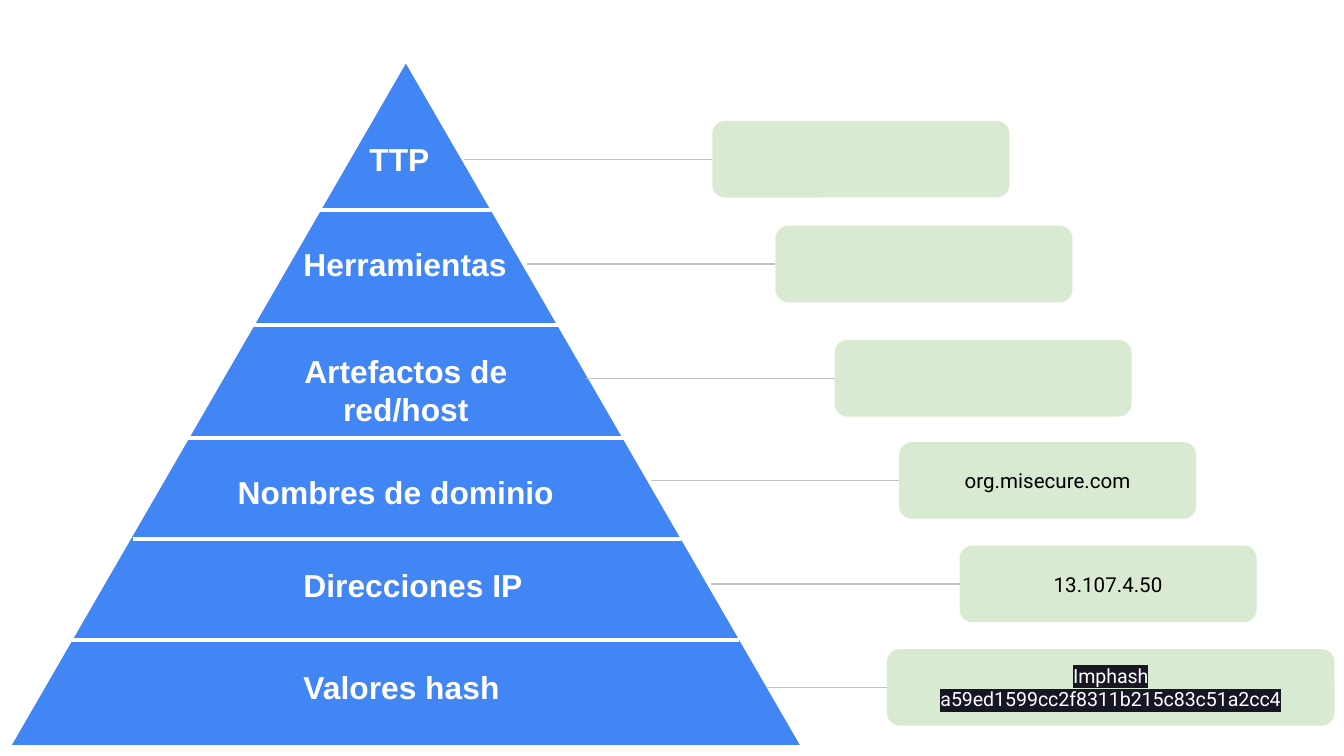
from lxml.etree import SubElement
from pptx import Presentation
from pptx.dml.color import RGBColor
from pptx.enum.shapes import MSO_CONNECTOR, MSO_SHAPE
from pptx.enum.text import MSO_ANCHOR, MSO_AUTO_SIZE, PP_ALIGN
from pptx.oxml.ns import qn
from pptx.util import Inches, Pt

SLIDE_WIDTH = Inches(10)
SLIDE_HEIGHT = Inches(5.625)
GRID_COLUMNS = 100
CELL = SLIDE_WIDTH / GRID_COLUMNS
INSET = 1
BOX_HEIGHT = 5.7
BOX_WIDTH = 22.1
LEADER_LENGTH = 18.5

WHITE = RGBColor(0xFF, 0xFF, 0xFF)
BLACK = RGBColor(0x00, 0x00, 0x00)
BLUE = RGBColor(0x42, 0x85, 0xF4)
GREEN = RGBColor(0xD9, 0xEA, 0xD3)
GRAY = RGBColor(0xC2, 0xC2, 0xC2)
NAVY = RGBColor(0x16, 0x16, 0x25)

DIVIDERS = [
    (23.8, 36.5, 15.6),
    (18.8, 41.7, 24.2),
    (13.9, 46.4, 32.6),
    (9.9, 50.7, 40.1),
    (5.3, 55, 47.6),
]
LABELS = [
    ("TTP", 26.5, 9.4, 8.8, 4.9, PP_ALIGN.LEFT),
    ("Herramientas", 21.6, 17.2, 20, 4.9, PP_ALIGN.LEFT),
    ("Artefactos de red/host", 19.3, 25.2, 21.8, 7.7, PP_ALIGN.CENTER),
    ("Nombres de dominio", 16.7, 34.2, 30.2, 4.9, PP_ALIGN.LEFT),
    ("Direcciones IP", 21.6, 41.1, 22.4, 4.9, PP_ALIGN.LEFT),
    ("Valores hash", 21.6, 48.7, 22.4, 4.9, PP_ALIGN.LEFT),
]
ANSWERS = [
    ([], 53, 9),
    ([], 57.7, 16.8),
    ([], 62.1, 25.3),
    (["org.misecure.com"], 66.9, 32.9),
    (["13.107.4.50"], 71.4, 40.6),
]
HASH_LINES = ["Imphash", "a59ed1599cc2f8311b215c83c51a2cc4"]


def cells(count):
    return round(count * CELL)


def add_filled_shape(shapes, kind, left, top, width, height, color):
    shape = shapes.add_shape(kind, cells(left), cells(top), cells(width), cells(height))
    shape.shadow.inherit = False
    shape.fill.solid()
    shape.fill.fore_color.rgb = color
    shape.line.fill.background()
    return shape


def add_line(shapes, kind, start, end, y, color, weight):
    line = shapes.add_connector(kind, cells(start), cells(y), cells(end), cells(y))
    line.line.color.rgb = color
    line.line.width = Pt(weight)
    SubElement(line._element.spPr, qn("a:effectLst"))
    return line


def add_run(paragraph, text, font, size, color, bold=False, highlight=None):
    run = paragraph.add_run()
    run.text = text
    run.font.name = font
    run.font.size = Pt(size)
    run.font.bold = bold
    run.font.color.rgb = color
    if highlight is not None:
        properties = run._r.get_or_add_rPr()
        mark = SubElement(properties, qn("a:highlight"))
        SubElement(mark, qn("a:srgbClr"), val=str(highlight))
        properties.find(qn("a:solidFill")).addnext(mark)


def set_insets(frame):
    frame.word_wrap = True
    frame.margin_left = frame.margin_right = cells(INSET)
    frame.margin_top = frame.margin_bottom = cells(INSET)


def add_pyramid(slide):
    shapes = slide.shapes.add_group_shape().shapes
    triangle = add_filled_shape(
        shapes, MSO_SHAPE.ISOSCELES_TRIANGLE, 0.6, 4.4, 59.2, 51.2, BLUE
    )
    triangle.line.color.rgb = WHITE
    triangle.line.width = Pt(2.25)
    for start, end, y in DIVIDERS:
        add_line(shapes, MSO_CONNECTOR.STRAIGHT, start, end, y, WHITE, 2.25)


def add_label(slide, text, left, top, width, height, alignment):
    box = slide.shapes.add_textbox(cells(left), cells(top), cells(width), cells(height))
    frame = box.text_frame
    set_insets(frame)
    frame.auto_size = MSO_AUTO_SIZE.SHAPE_TO_FIT_TEXT
    paragraph = frame.paragraphs[0]
    paragraph.alignment = alignment
    add_run(paragraph, text, "Arial", 17, WHITE, bold=True)


def add_answer(slide, lines, left, top, width=BOX_WIDTH, leader=LEADER_LENGTH,
               size=11, color=BLACK, highlight=None):
    box = add_filled_shape(
        slide.shapes, MSO_SHAPE.ROUNDED_RECTANGLE, left, top, width, BOX_HEIGHT, GREEN
    )
    frame = box.text_frame
    set_insets(frame)
    frame.vertical_anchor = MSO_ANCHOR.MIDDLE
    for index, text in enumerate(lines):
        paragraph = frame.add_paragraph() if index else frame.paragraphs[0]
        paragraph.alignment = PP_ALIGN.CENTER
        add_run(paragraph, text, "Roboto", size, color, highlight=highlight)
    connector = add_line(
        slide.shapes, MSO_CONNECTOR.ELBOW, left - leader, left,
        top + BOX_HEIGHT / 2, GRAY, 0.75
    )
    connector.end_connect(box, 1)


def main():
    presentation = Presentation()
    presentation.slide_width = SLIDE_WIDTH
    presentation.slide_height = SLIDE_HEIGHT
    slide = presentation.slides.add_slide(presentation.slide_layouts[6])
    add_pyramid(slide)
    for label in LABELS:
        add_label(slide, *label)
    for answer in ANSWERS:
        add_answer(slide, *answer)
    add_answer(slide, HASH_LINES, 66, 48.3, width=33.3, leader=9,
               size=10.5, color=WHITE, highlight=NAVY)
    presentation.save("out.pptx")


if __name__ == "__main__":
    main()
